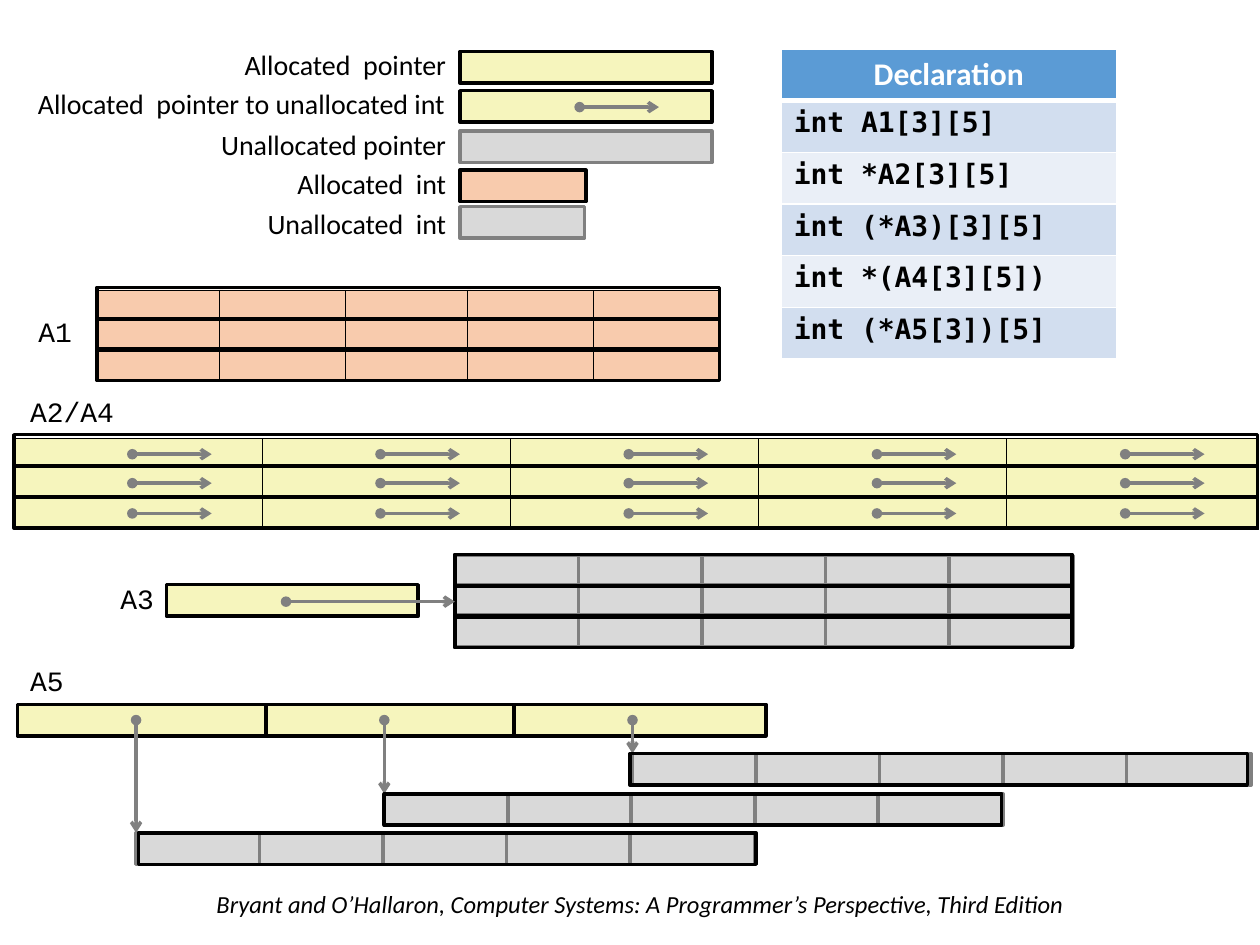
from lxml import etree
from pptx import Presentation
from pptx.dml.color import RGBColor
from pptx.enum.shapes import MSO_CONNECTOR, MSO_SHAPE
from pptx.enum.text import PP_ALIGN
from pptx.oxml.ns import qn
from pptx.util import Inches, Pt

RECT = MSO_SHAPE.RECTANGLE
STRAIGHT = MSO_CONNECTOR.STRAIGHT
LEFT, CENTER, RIGHT = PP_ALIGN.LEFT, PP_ALIGN.CENTER, PP_ALIGN.RIGHT
rgb = RGBColor.from_string

YELLOW, ORANGE, LIGHT = "F6F5BD", "F8CBAD", "D9D9D9"
BLACK, GRAY, WHITE = "000000", "808080", "FFFFFF"
SANS, MONO, CODE = "Calibri", "Courier New", "DejaVu Sans Mono"

H = 0.25           # height of every memory cell
PTR_W = 2          # width of a pointer cell
PTR_STEP = 1.97    # pitch of pointer cells in a row
INT_W = 0.99       # width of an int cell
INT_STEP = 0.98    # pitch of int cells in a row
DOT_DX = 0.94      # pointer dot from the left of its cell
STUB = 0.63        # length of a short pointer arrow

prs = Presentation()
prs.slide_width, prs.slide_height = Inches(10), Inches(7.5)
s = prs.slides.add_slide(prs.slide_layouts[6])


def add_box(x, y, w, fill, line=BLACK, weight=2):
    sp = s.shapes.add_shape(RECT, Inches(x), Inches(y), Inches(w), Inches(H))
    sp.shadow.inherit = False
    if fill:
        sp.fill.solid()
        sp.fill.fore_color.rgb = rgb(fill)
    else:
        sp.fill.background()
    sp.line.color.rgb = rgb(line)
    sp.line.width = Pt(weight)
    return sp


def add_pointer(x1, y1, x2, y2):
    cx = s.shapes.add_connector(STRAIGHT, Inches(x1), Inches(y1), Inches(x2), Inches(y2))
    cx.line.color.rgb = rgb(GRAY)
    cx.line.width = Pt(2)
    ln = cx.line._get_or_add_ln()
    etree.SubElement(ln, qn("a:headEnd"), type="oval")
    etree.SubElement(ln, qn("a:tailEnd"), type="arrow")
    etree.SubElement(cx._element.spPr, qn("a:effectLst"))
    return cx


# Declaration table
declarations = ["Declaration", "int A1[3][5]", "int *A2[3][5]", "int (*A3)[3][5]",
                "int *(A4[3][5])", "int (*A5[3])[5]"]
table = s.shapes.add_table(len(declarations), 1, Inches(6.2), Inches(0.39),
                           Inches(2.66), Inches(2.46)).table
for i, text in enumerate(declarations):
    header = i == 0
    cell = table.cell(i, 0)
    tcPr = cell._tc.get_or_add_tcPr()
    for side in "LRTB":
        thick = (header and side == "B") or (i == 1 and side == "T")
        ln = etree.SubElement(tcPr, qn("a:ln" + side), w=str(Pt(3 if thick else 1)))
        fill = etree.SubElement(ln, qn("a:solidFill"))
        etree.SubElement(fill, qn("a:srgbClr"), val=WHITE)
    cell.fill.solid()
    cell.fill.fore_color.rgb = rgb("5B9BD5" if header else "D2DEEF" if i % 2 else "EAEFF7")
    p = cell.text_frame.paragraphs[0]
    p.alignment = CENTER if header else LEFT
    r = p.add_run()
    r.text = text
    r.font.name = SANS if header else CODE
    r.font.size = Pt(18 if header else 16)
    r.font.bold = True
    r.font.color.rgb = rgb(WHITE if header else BLACK)

# Legend swatches
for y, w, fill, line in [(0.41, PTR_W, YELLOW, BLACK), (0.72, PTR_W, YELLOW, BLACK),
                         (1.04, PTR_W, LIGHT, GRAY), (1.35, 1, ORANGE, BLACK),
                         (1.64, INT_W, LIGHT, GRAY)]:
    add_box(3.65, y, w, fill, line)
add_pointer(4.6, 0.85, 4.6 + STUB, 0.85)

# A1: 3 x 5 allocated ints
for y in (2.3, 2.53, 2.77):
    for x in (0.77, 1.74, 2.74, 3.71, 4.71):
        add_box(x, y, 1, ORANGE, weight=0.25)
for y in (2.28, 2.53, 2.77):
    add_box(0.77, y, 4.94, None)

# A2/A4: 3 x 5 pointers
for y in (3.48, 3.71, 3.95):
    for col in range(5):
        x = 0.11 + col * PTR_STEP
        add_box(x, y, PTR_W, YELLOW, weight=0.25)
        add_pointer(x + DOT_DX, y + H / 2, x + DOT_DX + STUB, y + H / 2)
for y in (3.45, 3.7, 3.94):
    add_box(0.11, y, 9.87, None)

# A3: one pointer to 3 x 5 unallocated ints
for y in (4.41, 4.64, 4.88):
    for col in range(5):
        add_box(3.61 + col * INT_STEP, y, INT_W, LIGHT, GRAY)
rows = [add_box(3.61, y, 4.9, None) for y in (4.4, 4.65, 4.89)]
add_box(1.32, 4.64, PTR_W, YELLOW)
add_pointer(2.27, 4.65 + H / 2, 3.61, 4.65 + H / 2).end_connect(rows[1], 1)

# A5: three pointers, each to a row of 5 unallocated ints
for i, (y, outline_x) in enumerate([(6.61, 1.1), (6.3, 3.05), (5.98, 5)]):
    x = 0.14 + i * PTR_STEP
    dot_x = x + DOT_DX
    add_box(x, 5.59, PTR_W, YELLOW)
    add_pointer(dot_x, 5.59 + H / 2, dot_x, y)
    for col in range(5):
        add_box(dot_x + col * INT_STEP, y, INT_W, LIGHT, GRAY)
    add_box(outline_x, y, 4.9, None)

# Labels and citation
for text, x, y, w, align, font in [
    ("Allocated  pointer", 1.61, 0.33, 2.03, RIGHT, SANS),
    ("Allocated  pointer to unallocated int", 0.11, 0.64, 3.52, RIGHT, SANS),
    ("Unallocated pointer", 1.61, 0.96, 2.03, RIGHT, SANS),
    ("Allocated  int", 1.61, 1.27, 2.03, RIGHT, SANS),
    ("Unallocated  int", 1.61, 1.59, 2.03, RIGHT, SANS),
    ("A1", 0.14, 2.45, 0.53, RIGHT, MONO),
    ("A2/A4", 0.14, 3.08, 1.18, LEFT, MONO),
    ("A3", 0.14, 4.57, 1.18, RIGHT, MONO),
    ("A5", 0.14, 5.22, 1.18, LEFT, MONO),
    ("Bryant and O’Hallaron, Computer Systems: A Programmer’s Perspective, Third Edition",
     1.62, 7.01, 7.1, LEFT, SANS),
]:
    citation = y > 7
    tf = s.shapes.add_textbox(Inches(x), Inches(y), Inches(w),
                              Inches(0.34 if citation else 0.37)).text_frame
    tf.word_wrap = True
    p = tf.paragraphs[0]
    p.alignment = align
    r = p.add_run()
    r.text = text
    r.font.name = font
    r.font.size = Pt(14 if citation else 16)
    r.font.italic = citation
    r.font.color.rgb = rgb(BLACK)

prs.save("out.pptx")
